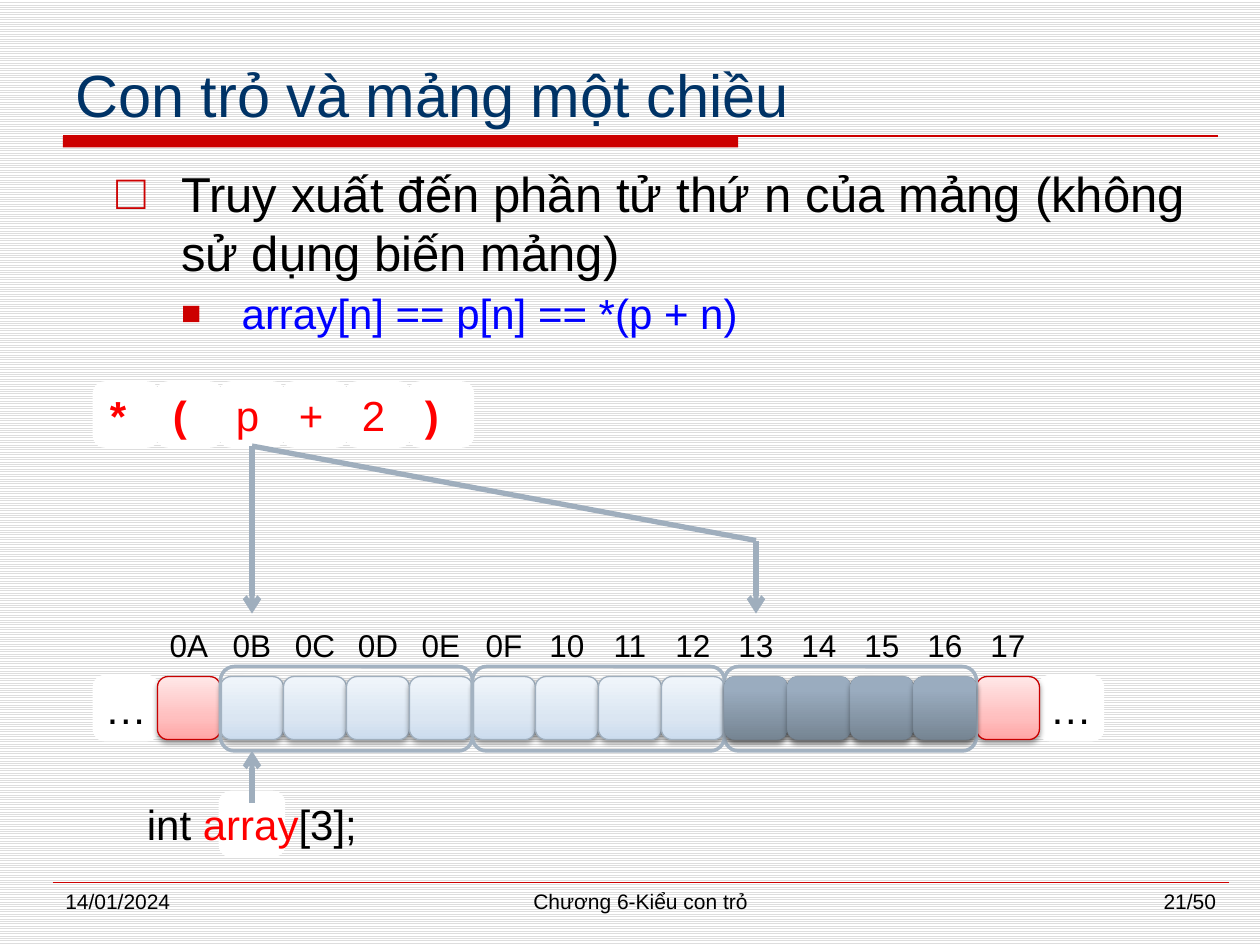
from lxml.etree import SubElement
from pptx import Presentation
from pptx.dml.color import RGBColor
from pptx.enum.dml import MSO_PATTERN
from pptx.enum.shapes import MSO_CONNECTOR, MSO_SHAPE
from pptx.enum.text import MSO_ANCHOR, PP_ALIGN
from pptx.oxml import parse_xml
from pptx.oxml.ns import nsdecls, qn
from pptx.util import Inches, Pt

BLACK = RGBColor(0x00, 0x00, 0x00)
WHITE = RGBColor(0xFF, 0xFF, 0xFF)
RED = RGBColor(0xFF, 0x00, 0x00)
BLUE = RGBColor(0x00, 0x00, 0xFF)
NAVY = RGBColor(0x00, 0x33, 0x66)
CRIMSON = RGBColor(0xCC, 0x00, 0x00)
DARK_RED = RGBColor(0xC8, 0x00, 0x00)
STEEL = RGBColor(0x9F, 0xAE, 0xBD)
FRAME = RGBColor(0xA3, 0xB2, 0xC1)
STRIPE = RGBColor(0xDD, 0xDD, 0xDD)
FONT = "Arial"

# Content
TITLE = "Con trỏ và mảng một chiều"
# text, size, colour, left margin, hanging indent, space before, bullet, bullet %
BODY = [
    ("Truy xuất đến phần tử thứ n của mảng (không sử dụng biến mảng)",
     28, BLACK, 0.51, 0.51, 0, "□", 100),
    ("array[n] == p[n] == *(p + n)", 24, BLUE, 0.99, 0.48, 3.6, "■", 80),
]
EXPRESSION = ["*", "(", "p", "+", "2", ")"]
BOLD_SYMBOLS = "*()"
ADDRESSES = ["0A", "0B", "0C", "0D", "0E", "0F", "10",
             "11", "12", "13", "14", "15", "16", "17"]
DECLARATION = [("int ", BLACK), ("array", RED), ("[3];", BLACK)]
FOOTER = [
    ("14/01/2024", 0.42, 2.17, PP_ALIGN.LEFT),
    ("Chương 6-Kiểu con trỏ", 2.92, 4.33, PP_ALIGN.CENTER),
    ("21/50", 7.58, 2.17, PP_ALIGN.RIGHT),
]

# Gradient stops run from bottom to top; shadow is opacity %, distance in points
PINK = ([(0, "FFA5A5"), (35, "FFBFBF"), (100, "FFE7E7")], 38, 1.6)
PALE = ([(0, "CCDCEE"), (35, "DBE6F2"), (100, "F0F5FB")], 38, 1.6)
DARK = ([(0, "768593"), (80, "9AACBF"), (100, "9AADC1")], 35, 1.8)

# Memory grid
CELL = 0.5
GRID_LEFT = 0.75
EXPRESSION_TOP, LABEL_TOP, CELL_TOP, DECLARATION_TOP = 3.04, 4.87, 5.37, 6.29
FRAME_TOP, FRAME_HEIGHT = 5.29, 0.67
INT_CELLS, ARRAY_LENGTH = 4, 3
ARRAY_START = 2  # grid column of array[0]
TARGET = ARRAY_START + 2 * INT_CELLS  # grid column of array[2]
ARRAY_END = ARRAY_START + ARRAY_LENGTH * INT_CELLS


def column_left(column):
    return GRID_LEFT + column * CELL


def style_font(font, size, color, bold=False):
    font.name, font.size, font.bold = FONT, Pt(size), bold
    font.color.rgb = color


def add_box(left, top, width=CELL, height=CELL, fill=None, line=None,
            line_width=2.0, preset=MSO_SHAPE.ROUNDED_RECTANGLE):
    box = page.shapes.add_shape(preset, Inches(left), Inches(top),
                                Inches(width), Inches(height))
    box.shadow.inherit = False
    if fill is None:
        box.fill.background()
    else:
        box.fill.solid()
        box.fill.fore_color.rgb = fill
    if line is None:
        box.line.fill.background()
    else:
        box.line.color.rgb = line
        box.line.width = Pt(line_width)
    return box


def add_label(box, spans, size, align=PP_ALIGN.CENTER, bold=False):
    frame = box.text_frame
    frame.word_wrap = False
    frame.vertical_anchor = MSO_ANCHOR.MIDDLE
    para = frame.paragraphs[0]
    para.alignment = align
    for text, color in spans:
        span = para.add_run()
        span.text = text
        style_font(span.font, size, color, bold)


def add_memory_cell(column, look, line=None):
    stops, opacity, distance = look
    box = add_box(column_left(column), CELL_TOP, line=line, line_width=0.75)
    properties = box._element.spPr
    stop_xml = "".join(f'<a:gs pos="{pos * 1000}"><a:srgbClr val="{color}"/></a:gs>'
                       for pos, color in stops)
    gradient = parse_xml(
        f'<a:gradFill {nsdecls("a")} rotWithShape="1"><a:gsLst>{stop_xml}</a:gsLst>'
        '<a:lin ang="16200000" scaled="0"/></a:gradFill>')
    properties.replace(properties.find(qn("a:noFill")), gradient)
    properties.find(qn("a:effectLst")).append(parse_xml(
        f'<a:outerShdw {nsdecls("a")} blurRad="{Pt(3.1)}" dist="{Pt(distance)}" '
        'dir="5400000" rotWithShape="0"><a:srgbClr val="000000">'
        f'<a:alpha val="{opacity * 1000}"/></a:srgbClr></a:outerShdw>'))


def add_line(start, end, color, width, arrow=False):
    line = page.shapes.add_connector(MSO_CONNECTOR.STRAIGHT,
                                     *map(Inches, (*start, *end)))
    line.line.color.rgb = color
    line.line.width = Pt(width)
    if arrow:
        SubElement(line.line._get_or_add_ln(), qn("a:tailEnd"), type="arrow")
    SubElement(line._element.spPr, qn("a:effectLst"))
    return line


def add_text_box(left, top, width, height):
    box = page.shapes.add_textbox(*map(Inches, (left, top, width, height)))
    box.text_frame.word_wrap = True
    return box.text_frame


deck = Presentation()
deck.slide_width, deck.slide_height = Inches(10), Inches(7.5)
page = deck.slides.add_slide(deck.slide_layouts[5])

# Striped background and rules
background = page.background.fill
background.patterned()
background.pattern = MSO_PATTERN.LIGHT_HORIZONTAL
background.fore_color.rgb, background.back_color.rgb = STRIPE, WHITE
add_box(0.5, 1.08, 5.36, 0.09, CRIMSON, preset=MSO_SHAPE.RECTANGLE)
add_line((0.5, 1.08), (9.67, 1.08), CRIMSON, 1.5)
add_line((0.42, 7), (9.75, 7), CRIMSON, 0.25)

# Title
title = page.shapes.title
title.left, title.top, title.width, title.height = map(Inches, (0.5, 0.33, 9.17, 0.75))
title.text_frame.text = TITLE
title.text_frame.vertical_anchor = MSO_ANCHOR.BOTTOM
title_para = title.text_frame.paragraphs[0]
title_para.alignment = PP_ALIGN.LEFT
style_font(title_para.runs[0].font, 34, NAVY)

# Bulleted body
body = add_text_box(0.83, 1.25, 8.67, 5.67)
for level, (text, size, color, margin, hang, before, bullet, percent) in enumerate(BODY):
    para = body.add_paragraph() if level else body.paragraphs[0]
    para.text = text
    para.level = level
    para.alignment = PP_ALIGN.JUSTIFY
    para.space_before = Pt(before)
    properties = para._p.get_or_add_pPr()
    properties.set("marL", str(Inches(margin)))
    properties.set("indent", str(Inches(-hang)))
    bullet_color = SubElement(properties, qn("a:buClr"))
    SubElement(bullet_color, qn("a:srgbClr"), val=str(CRIMSON))
    SubElement(properties, qn("a:buSzPct"), val=str(percent * 1000))
    SubElement(properties, qn("a:buFont"), typeface=FONT)
    SubElement(properties, qn("a:buChar"), char=bullet)
    style_font(para.runs[0].font, size, color)

# Memory row: ellipses, neighbouring bytes, array bytes
for column in (0, ARRAY_END + 2 - 1):
    add_label(add_box(column_left(column), CELL_TOP, fill=WHITE, line=WHITE),
              [("…", BLACK)], 24)
for column in (ARRAY_START - 1, ARRAY_END):
    add_memory_cell(column, PINK, DARK_RED)
for column in range(ARRAY_START, ARRAY_END):
    add_memory_cell(column, PALE, STEEL)

# Addresses
address_boxes = {}
for column, address in enumerate(ADDRESSES, start=1):
    address_boxes[column] = add_box(column_left(column), LABEL_TOP)
    add_label(address_boxes[column], [(address, BLACK)], 18)

# Pointer expression
symbol_boxes = {}
for column, symbol in enumerate(EXPRESSION):
    symbol_boxes[symbol] = add_box(column_left(column), EXPRESSION_TOP,
                                   fill=WHITE, line=WHITE)
    add_label(symbol_boxes[symbol], [(symbol, RED)], 24, PP_ALIGN.LEFT,
              symbol in BOLD_SYMBOLS)

# Array declaration
add_label(add_box(column_left(ARRAY_START), DECLARATION_TOP, fill=WHITE, line=WHITE),
          DECLARATION, 24)

# Pointer arrows
pointer_x = column_left(ARRAY_START) + CELL / 2
target_x = column_left(TARGET) + CELL / 2
pointer_bottom, bend = (pointer_x, EXPRESSION_TOP + CELL), (target_x, 4.29)
direct = add_line(pointer_bottom, (pointer_x, LABEL_TOP), STEEL, 3, arrow=True)
slanted = add_line(pointer_bottom, bend, STEEL, 3)
drop = add_line(bend, (target_x, LABEL_TOP), STEEL, 3, arrow=True)
for line in (direct, slanted):
    line.begin_connect(symbol_boxes["p"], 2)
direct.end_connect(address_boxes[ARRAY_START], 0)
drop.end_connect(address_boxes[TARGET], 0)
add_line((pointer_x, 6.37), (pointer_x, FRAME_TOP + FRAME_HEIGHT), STEEL, 3, arrow=True)

# Element frames, then the bytes of the element reached
for element in range(ARRAY_LENGTH):
    add_box(column_left(ARRAY_START + element * INT_CELLS), FRAME_TOP,
            INT_CELLS * CELL, FRAME_HEIGHT, line=FRAME)
for column in range(TARGET, ARRAY_END):
    add_memory_cell(column, DARK)

# Footer
for text, left, width, align in FOOTER:
    para = add_text_box(left, 7, width, 0.35).paragraphs[0]
    para.text = text
    para.alignment = align
    style_font(para.runs[0].font, 12, BLACK)

deck.save("out.pptx")
